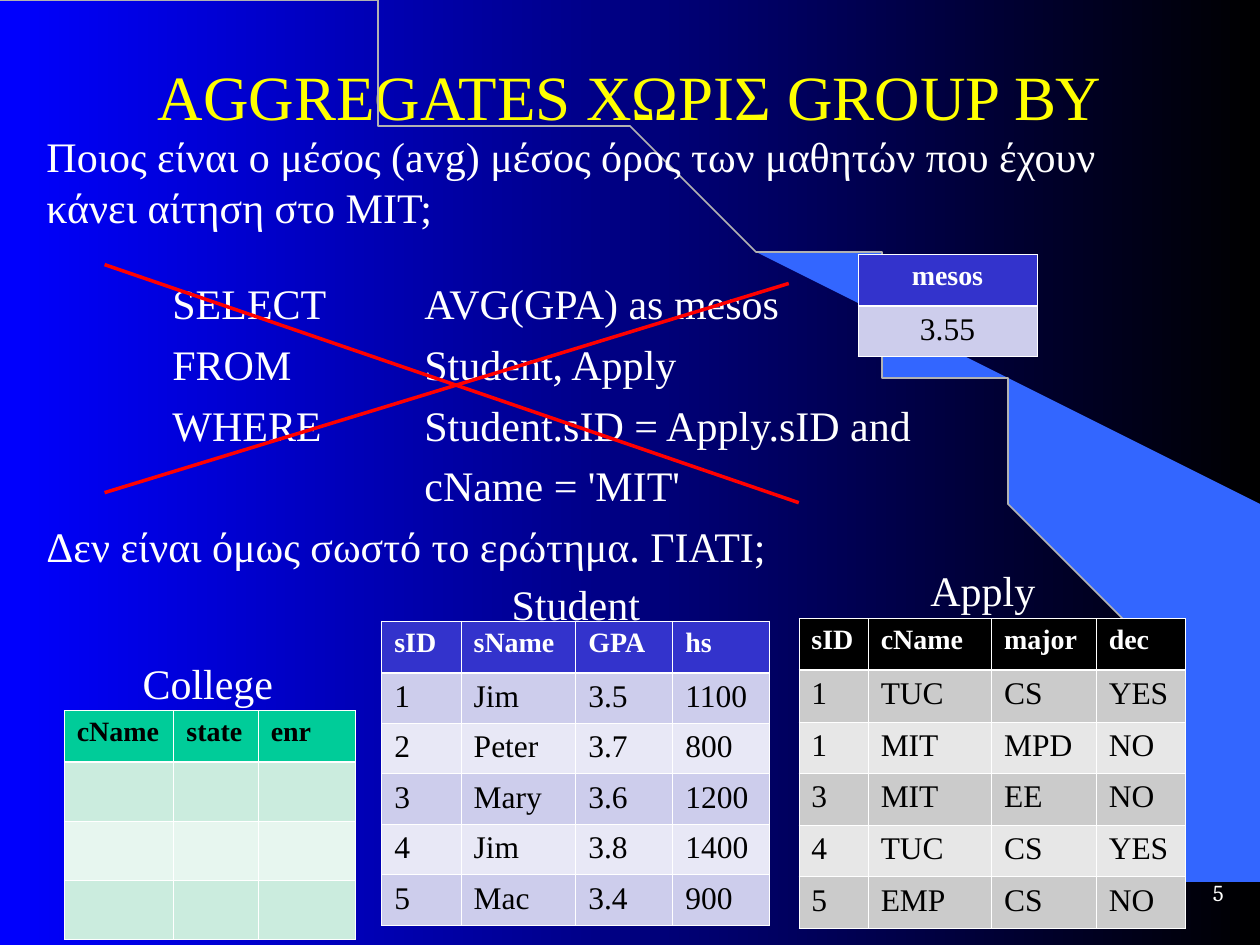
from math import cos, radians, sin

from lxml import etree
from pptx import Presentation
from pptx.dml.color import RGBColor
from pptx.enum.shapes import MSO_CONNECTOR
from pptx.enum.text import MSO_ANCHOR, PP_ALIGN
from pptx.oxml.ns import qn
from pptx.util import Inches, Pt

LEFT, CENTER, RIGHT = PP_ALIGN.LEFT, PP_ALIGN.CENTER, PP_ALIGN.RIGHT
MIDDLE = MSO_ANCHOR.MIDDLE
STRAIGHT = MSO_CONNECTOR.STRAIGHT
SERIF = "Times New Roman"

WHITE = RGBColor(0xFF, 0xFF, 0xFF)
BLACK = RGBColor(0, 0, 0)
BLUE = RGBColor(0, 0, 0xFF)
SKY = RGBColor(0x33, 0x66, 0xFF)
GRAY = RGBColor(0xB2, 0xB2, 0xB2)
YELLOW = RGBColor(0xFF, 0xFF, 0)
RED = RGBColor(0xFF, 0, 0)
INDIGO = RGBColor(0x33, 0x33, 0xCC)
LILAC = RGBColor(0xCD, 0xCD, 0xEC)
PALE_LILAC = RGBColor(0xE8, 0xE8, 0xF6)
GREEN = RGBColor(0, 0xCC, 0x99)
MINT = RGBColor(0xCB, 0xEC, 0xDE)
PALE_MINT = RGBColor(0xE7, 0xF6, 0xEF)
SILVER = RGBColor(0xCB, 0xCB, 0xCB)
PALE_SILVER = RGBColor(0xE7, 0xE7, 0xE7)


def add_text(para, text, size, color, align=LEFT, bold=False, face=SERIF):
    para.alignment = align
    run = para.add_run()
    run.text = text
    font = run.font
    font.name, font.size, font.bold = face, Pt(size), bold
    font.color.rgb = color


def set_edges(cell, top, bottom):
    """Draw white cell borders; top and bottom widths are in points."""
    props = cell._tc.get_or_add_tcPr()
    widths = {"a:lnL": 0.45, "a:lnR": 0.45, "a:lnT": top, "a:lnB": bottom}
    for spot, (tag, width) in enumerate(widths.items()):
        edge = etree.Element(qn(tag), w=str(int(Pt(width))))
        fill = etree.SubElement(edge, qn("a:solidFill"))
        etree.SubElement(fill, qn("a:srgbClr"), val=str(WHITE))
        props.insert(spot, edge)


prs = Presentation()
prs.slide_width, prs.slide_height = Inches(10), Inches(7.5)
slide = prs.slides.add_slide(prs.slide_layouts[5])
shapes = slide.shapes

back = slide.background.fill
back.gradient()
back.gradient_angle = 0
for stop, color in zip(back.gradient_stops, (BLUE, BLACK)):
    stop.color.rgb = color

# Quarter ellipse, and the beam between it and the right edge
arc = [(9.2 * sin(radians(deg)), 7.49 * (1 - cos(radians(deg))))
       for deg in range(0, 91, 2)]
beam = arc[20:] + [(9.99, 7.49), (9.99, 4.23)]
for points, closed in ((beam, True), (arc, False)):
    outline = shapes.build_freeform(*points[0], scale=Inches(1))
    outline.add_line_segments(points[1:], close=closed)
    shape = outline.convert_to_shape()
    shape.shadow.inherit = False
    if closed:
        shape.fill.solid()
        shape.fill.fore_color.rgb = SKY
        shape.line.fill.background()
    else:
        shape.fill.background()
        shape.line.color.rgb = GRAY
        shape.line.width = Pt(1)

title = shapes.title
title.left, title.top = Inches(0.75), Inches(0.13)
title.width, title.height = Inches(8.5), Inches(1.25)
title.text_frame.vertical_anchor = MIDDLE
add_text(title.text_frame.paragraphs[0], "AGGREGATES ΧΩΡΙΣ GROUP BY",
         36, YELLOW, CENTER)

# Question and query: text, space before in points
lines = [
    ("Ποιος είναι ο μέσος (avg) μέσος όρος των μαθητών που έχουν "
     "κάνει αίτηση στο MIT;", 0),
    ("\tSELECT\tAVG(GPA) as mesos", 26),
    ("\tFROM\tStudent, Apply", 6),
    ("\tWHERE\tStudent.sID = Apply.sID and", 6),
    ("\t\tcName = 'MIT'", 6),
    ("Δεν είναι όμως σωστό το ερώτημα. ΓΙΑΤΙ;", 6),
]
body = shapes.add_textbox(Inches(0.27), Inches(0.99), Inches(9.21), Inches(4.5))
frame = body.text_frame
frame.word_wrap = True
for row, (text, gap) in enumerate(lines):
    para = frame.add_paragraph() if row else frame.paragraphs[0]
    tabs = etree.SubElement(para._p.get_or_add_pPr(), qn("a:tabLst"))
    for stop in (1, 3):
        etree.SubElement(tabs, qn("a:tab"), pos=str(Inches(stop)), algn="l")
    para.space_before = Pt(gap)
    para.line_spacing = Pt(28.8)
    add_text(para, text, 24, WHITE)

for text, left, top in (("College", 0.9, 5.17), ("Student", 3.82, 4.54),
                        ("Apply", 7.05, 4.43)):
    label = shapes.add_textbox(Inches(left), Inches(top), Inches(1.5), Inches(0.5))
    label.text_frame.word_wrap = True
    add_text(label.text_frame.paragraphs[0], text, 24, WHITE, CENTER)

number = shapes.add_textbox(Inches(9.25), Inches(6.83), Inches(0.56), Inches(0.5))
number.text_frame.vertical_anchor = MIDDLE
add_text(number.text_frame.paragraphs[0], "5", 13, WHITE, RIGHT, face="Cambria")

# Left, top, column widths, body row height, alignment,
# header fill, header text, band fills, rows
tables = [
    (0.51, 5.64, (0.87, 0.67, 0.77), 0.47, LEFT,
     GREEN, BLACK, (MINT, PALE_MINT),
     [("cName", "state", "enr")] + [("", "", "")] * 3),
    (6.81, 2.02, (1.42,), 0.4, CENTER,
     INDIGO, WHITE, (LILAC, PALE_LILAC),
     [("mesos",), ("3.55",)]),
    (6.34, 4.91, (0.55, 0.98, 0.83, 0.71), 0.41, LEFT,
     BLACK, WHITE, (SILVER, PALE_SILVER),
     [("sID", "cName", "major", "dec"),
      ("1", "TUC", "CS", "YES"),
      ("1", "MIT", "MPD", "NO"),
      ("3", "MIT", "EE", "NO"),
      ("4", "TUC", "CS", "YES"),
      ("5", "EMP", "CS", "NO")]),
    (3.03, 4.93, (0.63, 0.91, 0.77, 0.77), 0.4, LEFT,
     INDIGO, WHITE, (LILAC, PALE_LILAC),
     [("sID", "sName", "GPA", "hs"),
      ("1", "Jim", "3.5", "1100"),
      ("2", "Peter", "3.7", "800"),
      ("3", "Mary", "3.6", "1200"),
      ("4", "Jim", "3.8", "1400"),
      ("5", "Mac", "3.4", "900")]),
]
for left, top, widths, high, align, head, ink, bands, rows in tables:
    table = shapes.add_table(
        len(rows), len(widths), Inches(left), Inches(top),
        Inches(sum(widths)), Inches(0.41 + high * (len(rows) - 1))).table
    for col, width in enumerate(widths):
        table.columns[col].width = Inches(width)
    for row, texts in enumerate(rows):
        table.rows[row].height = Inches(high if row else 0.41)
        for col, text in enumerate(texts):
            cell = table.cell(row, col)
            cell.fill.solid()
            cell.fill.fore_color.rgb = bands[(row - 1) % 2] if row else head
            set_edges(cell, 1.47 if row == 1 else 0.45, 0.45 if row else 1.47)
            if text:
                add_text(cell.text_frame.paragraphs[0], text, 18 if row else 16,
                         BLACK if row else ink, align, bold=not row)

# Red cross over the query
for ends in ((0.83, 2.1, 6.34, 3.99), (0.83, 3.91, 6.26, 2.25)):
    stroke = shapes.add_connector(STRAIGHT, *map(Inches, ends))
    stroke.line.color.rgb = RED
    stroke.line.width = Pt(2)
    etree.SubElement(stroke._element.spPr, qn("a:effectLst"))

prs.save("out.pptx")
